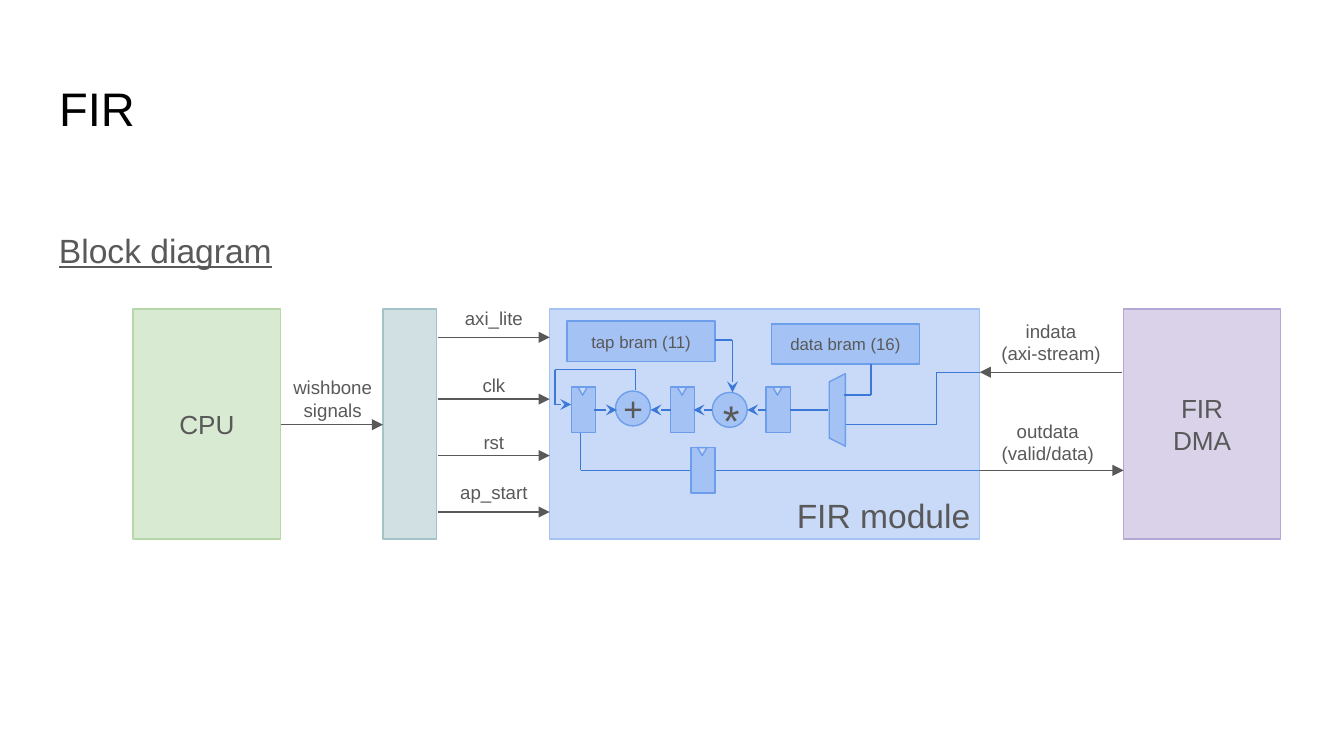
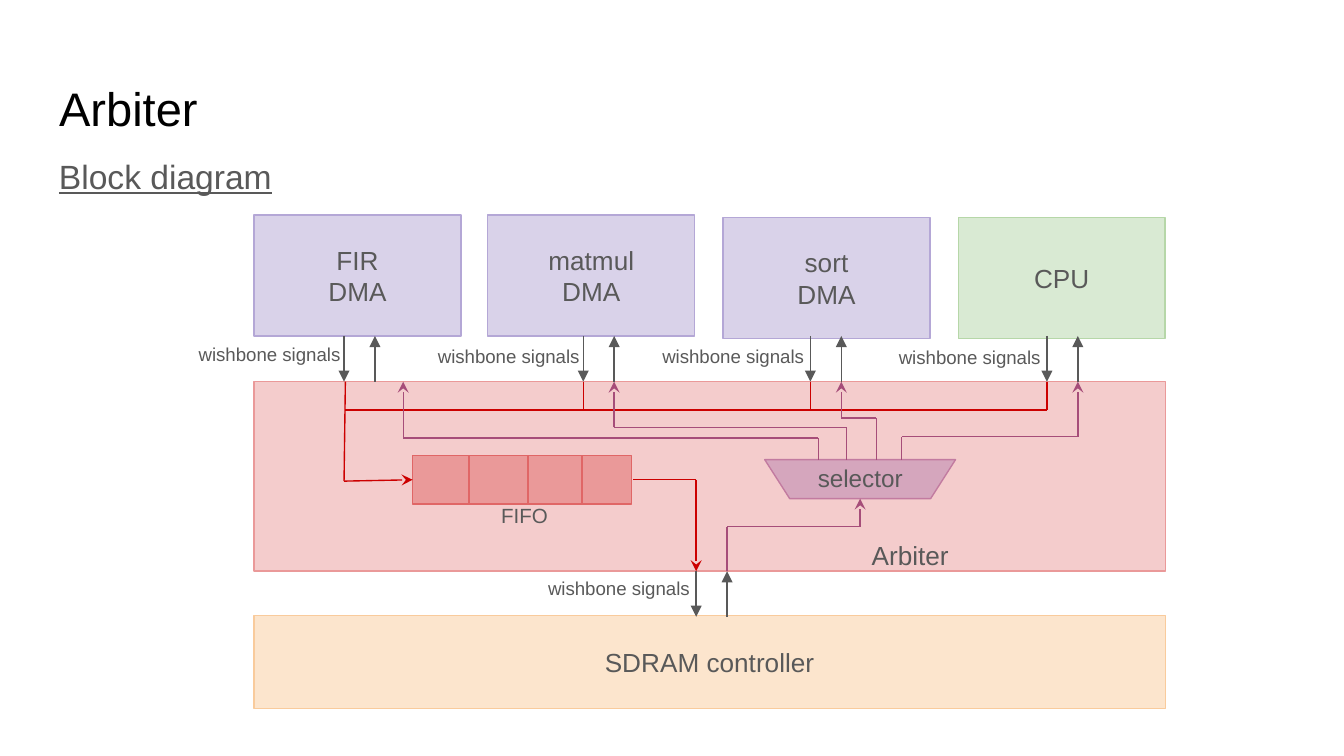
from lxml.etree import SubElement
from pptx import Presentation
from pptx.dml.color import RGBColor
from pptx.enum.shapes import MSO_CONNECTOR, MSO_SHAPE
from pptx.enum.text import MSO_ANCHOR, MSO_AUTO_SIZE, PP_ALIGN
from pptx.oxml.ns import qn
from pptx.util import Pt

PX = 9144  # 100 px to the inch
FONT = "Arial"
BLACK = RGBColor(0x00, 0x00, 0x00)
GREY = RGBColor(0x59, 0x59, 0x59)
BLUE = RGBColor(0x3C, 0x78, 0xD8)
RED = RGBColor(0xCC, 0x00, 0x00)
PLUM = RGBColor(0xA6, 0x4D, 0x79)

# Each pair is a fill and its outline
GREEN = RGBColor(0xD9, 0xEA, 0xD3), RGBColor(0xB6, 0xD7, 0xA8)
TEAL = RGBColor(0xD0, 0xE0, 0xE3), RGBColor(0xA2, 0xC4, 0xC9)
VIOLET = RGBColor(0xD9, 0xD2, 0xE9), RGBColor(0xB4, 0xA7, 0xD6)
PALE = RGBColor(0xC9, 0xDA, 0xF8), RGBColor(0xA4, 0xC2, 0xF4)
SKY = RGBColor(0xA4, 0xC2, 0xF4), RGBColor(0x6D, 0x9E, 0xEB)
NOTCH = RGBColor(0xC9, 0xDA, 0xF8), RGBColor(0x6D, 0x9E, 0xEB)
ROSE = RGBColor(0xF4, 0xCC, 0xCC), RGBColor(0xEA, 0x99, 0x99)
CORAL = RGBColor(0xEA, 0x99, 0x99), RGBColor(0xE0, 0x66, 0x66)
PEACH = RGBColor(0xFC, 0xE5, 0xCD), RGBColor(0xF9, 0xCB, 0x9C)
MAUVE = RGBColor(0xD5, 0xA6, 0xBD), RGBColor(0xC2, 0x7B, 0xA0)

RECT = MSO_SHAPE.RECTANGLE
LEFT, MID = PP_ALIGN.LEFT, PP_ALIGN.CENTER


def put(slide, at, text="", size=10, pair=None, kind=RECT, align=MID):
    """Add a filled shape, or a plain text box when no colour pair is given."""
    place = [n * PX for n in at]
    if pair:
        shape = slide.shapes.add_shape(kind, *place)
        shape.shadow.inherit = False
        shape.fill.solid()
        shape.fill.fore_color.rgb, shape.line.color.rgb = pair
        shape.line.width = Pt(0.75)
    else:
        shape = slide.shapes.add_textbox(*place)
    frame = shape.text_frame
    frame.word_wrap = True
    frame.vertical_anchor = MSO_ANCHOR.MIDDLE if pair else MSO_ANCHOR.TOP
    frame.margin_left = frame.margin_right = 10 * PX
    frame.margin_top = frame.margin_bottom = 10 * PX
    if text:
        frame.text = text
    for para in frame.paragraphs:
        para.alignment = align
        for run in para.runs:
            run.font.name = FONT
            run.font.size = Pt(size)
            run.font.color.rgb = GREY
    return shape


def wire(slide, color, *points, tip=None):
    """Join the points with straight lines; the last one may end in an arrow."""
    for start, end in zip(points, points[1:]):
        ends = [n * PX for n in start + end]
        line = slide.shapes.add_connector(MSO_CONNECTOR.STRAIGHT, *ends)
        line.line.color.rgb = color
        line.line.width = Pt(0.75)
        props = line._element.spPr
        SubElement(props, qn("a:effectLst"))
    if tip:
        SubElement(props.find(qn("a:ln")), qn("a:tailEnd"), type=tip)


deck = Presentation()
deck.slide_width = 1000 * PX
deck.slide_height = deck.slide_width * 9 // 16

pages = []
for name, top in (("FIR", 161), ("Arbiter", 106)):
    page = deck.slides.add_slide(deck.slide_layouts[5])
    title = page.shapes.title
    title.left, title.top, title.width, title.height = (
        n * PX for n in (34, 49, 932, 63))
    frame = title.text_frame
    frame.text = name
    frame.auto_size = MSO_AUTO_SIZE.NONE
    frame.vertical_anchor = MSO_ANCHOR.TOP
    frame.margin_left = frame.margin_right = 10 * PX
    frame.margin_top = frame.margin_bottom = 10 * PX
    para = frame.paragraphs[0]
    para.alignment = LEFT
    font = para.runs[0].font
    font.name, font.size, font.color.rgb = FONT, Pt(25.2), BLACK
    head = put(page, (34, top, 215, 32), "Block diagram", 18, align=LEFT)
    head.text_frame.paragraphs[0].runs[0].font.underline = True
    pages.append(page)
fir, arbiter = pages

# FIR: main blocks
for x, width, text, pair in (
        (409, 320, "", PALE), (99, 110, "CPU", GREEN),
        (285, 40, "", TEAL), (836, 117, "FIR\nDMA", VIOLET)):
    put(fir, (x, 230, width, 171), text, 14, pair)
put(fir, (583, 358, 215, 39), "FIR module", 18, align=LEFT)

# FIR: signals between the blocks
wire(fir, GREY, (209, 316), (285, 316), tip="triangle")
put(fir, (207, 270, 81, 63), "wishbone\nsignals")
for text, y, top in (("axi_lite", 251, 220), ("clk", 297, 270),
                     ("rst", 339, 312), ("ap_start", 381, 349)):
    wire(fir, GREY, (326, y), (409, y), tip="triangle")
    put(fir, (326, top, 83, 29), text)
wire(fir, GREY, (835, 277), (729, 277), tip="triangle")
put(fir, (734, 228, 96, 34), "indata\n(axi-stream)")
wire(fir, GREY, (729, 350), (836, 350), tip="triangle")
put(fir, (734, 302, 91, 39), "outdata\n(valid/data)")

# FIR: data path inside the module
wire(fir, BLUE, (432, 322), (432, 350), (729, 350))
wire(fir, BLUE, (729, 277), (697, 277), (697, 316), (629, 316))
for x, y in ((570, 288), (499, 288), (514, 333), (425, 288)):
    put(fir, (x, y, 18, 34), pair=SKY)
    clock = put(fir, (x + 5, y, 7, 6), pair=NOTCH,
                kind=MSO_SHAPE.ISOSCELES_TRIANGLE)
    clock.rotation = 180
mux = put(fir, (596, 299, 54, 12), pair=SKY, kind=MSO_SHAPE.TRAPEZOID)
mux.rotation = 270
mux.adjustments[0] = 0.51
put(fir, (574, 241, 110, 30), "data bram (16)", 9, SKY)
put(fir, (422, 239, 110, 30), "tap bram (11)", 9, SKY)
for at, sign, spot, size in (
        ((530, 292, 26, 26), "*", (528, 283, 35, 34), 23),
        ((458, 291, 26, 26), "+", (454, 279, 35, 34), 18)):
    put(fir, at, pair=SKY, kind=MSO_SHAPE.OVAL)
    put(fir, spot, sign, size, align=LEFT)
wire(fir, BLUE, (648, 271), (648, 294), (628, 294))
wire(fir, BLUE, (616, 305), (588, 305))
for start, end in ((570, 556), (530, 516), (499, 484), (442, 459)):
    wire(fir, BLUE, (start, 305), (end, 305), tip="stealth")
wire(fir, BLUE, (532, 253), (545, 253), (545, 292), tip="stealth")
wire(fir, BLUE, (473, 290), (473, 275), (413, 275), (413, 301), (425, 301),
     tip="stealth")

# Arbiter: main blocks
for i, (text, pair) in enumerate((
        ("FIR\nDMA", VIOLET), ("matmul\nDMA", VIOLET),
        ("sort\nDMA", VIOLET), ("CPU", GREEN))):
    put(arbiter, (189 + i * 524 // 3, 160 + i // 2 * 2, 154, 90),
        text, 14, pair)
core = put(arbiter, (189, 284, 678, 141), "Arbiter", 14, ROSE,
           align=PP_ALIGN.RIGHT).text_frame
core.vertical_anchor = MSO_ANCHOR.BOTTOM
core.margin_right, core.margin_bottom = 161 * PX, 0
put(arbiter, (189, 458, 678, 69), "SDRAM controller", 14, PEACH)

# Arbiter: two-way links
for x, top, left, y in ((256, 250, 129, 247), (434, 250, 307, 248),
                        (603, 250, 474, 248), (779, 250, 650, 249),
                        (518, 425, 389, 421)):
    put(arbiter, (left, y, 143, 35), "wishbone signals")
    wire(arbiter, GREY, (x, top), (x, top + 34), tip="triangle")
    wire(arbiter, GREY, (x + 23, top + 34), (x + 23, top), tip="triangle")

# Arbiter: requests through the FIFO
put(arbiter, (363, 365, 62, 40), "FIFO", 11, align=LEFT)
for x, width in ((307, 54), (416, 54), (349, 56), (393, 40)):
    put(arbiter, (x, 339, width, 36), pair=CORAL)
wire(arbiter, RED, (257, 284), (256, 358), (307, 357), tip="stealth")
wire(arbiter, RED, (257, 305), (779, 305))
for x in (434, 603, 779):
    wire(arbiter, RED, (x, 284), (x, 305))
wire(arbiter, RED, (471, 357), (518, 357), (518, 425), tip="stealth")

# Arbiter: replies through the selector
pick = put(arbiter, (569, 342, 142, 29), pair=MAUVE, kind=MSO_SHAPE.TRAPEZOID)
pick.rotation = 180
pick.adjustments[0] = 0.64
put(arbiter, (584, 335, 112, 44), "selector", 13)
wire(arbiter, PLUM, (541, 425), (541, 392), (640, 392), (640, 371),
     tip="stealth")
for start, y, end in ((609, 326, 300), (630, 318, 457),
                      (652, 311, 626), (671, 325, 802)):
    wire(arbiter, PLUM, (start, 342), (start, y), (end, y), (end, 284),
         tip="stealth")

deck.save("out.pptx")
